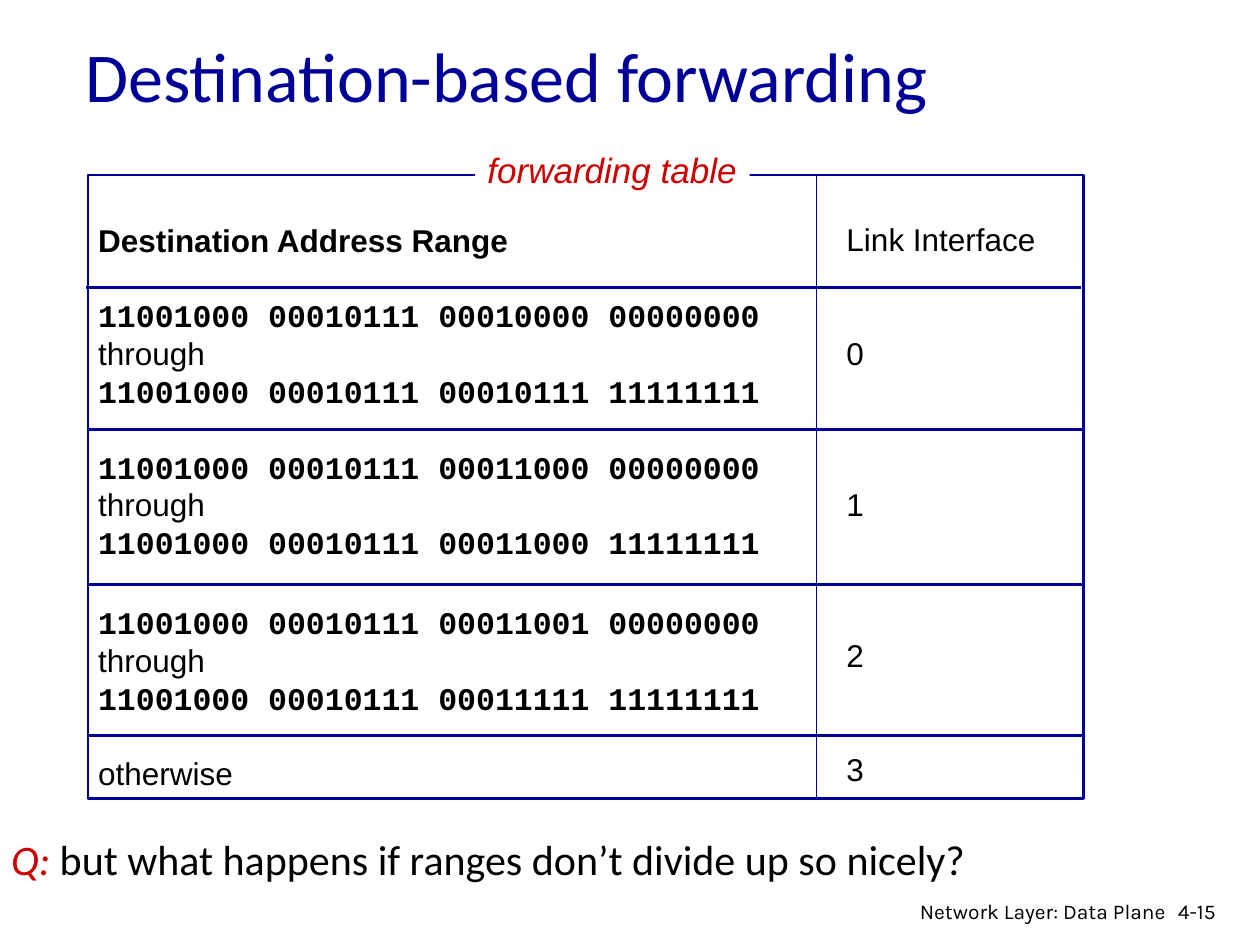
from pptx import Presentation
from pptx.dml.color import RGBColor
from pptx.enum.shapes import MSO_CONNECTOR, MSO_SHAPE
from pptx.enum.text import MSO_ANCHOR, PP_ALIGN
from pptx.oxml.ns import qn
from pptx.util import Inches, Pt
from lxml.etree import SubElement

NAVY = RGBColor(0x00, 0x00, 0x99)
RED = RGBColor(0xCC, 0x00, 0x00)
BLACK = RGBColor(0x00, 0x00, 0x00)
WHITE = RGBColor(0xFF, 0xFF, 0xFF)
LINE_PITCH = 21.6


def add_frame(left, top, width, height, anchor=MSO_ANCHOR.TOP):
    frame = slide.shapes.add_textbox(Inches(left), Inches(top), Inches(width), Inches(height)).text_frame
    frame.word_wrap = True
    frame.vertical_anchor = anchor
    return frame


def write(paragraph, text, font="Arial", size=18, color=BLACK, bold=False, italic=False,
          align=PP_ALIGN.LEFT, pitch=None, before=0):
    paragraph.alignment = align
    paragraph.space_before = Pt(before)
    if pitch:
        paragraph.line_spacing = Pt(pitch)
    run = paragraph.add_run()
    run.text = text
    run.font.name = font
    run.font.size = Pt(size)
    run.font.color.rgb = color
    run.font.bold = bold
    run.font.italic = italic


presentation = Presentation()
presentation.slide_width = Inches(10)
presentation.slide_height = Inches(7.5)
slide = presentation.slides.add_slide(presentation.slide_layouts[6])

ranges = add_frame(0.68, 1.7, 5.75, 4.64, MSO_ANCHOR.MIDDLE)
write(ranges.paragraphs[0], "Destination Address Range", bold=True, align=PP_ALIGN.JUSTIFY, pitch=LINE_PITCH)
address_ranges = [
    ("11001000 00010111 00010000 00000000", "11001000 00010111 00010111 11111111", LINE_PITCH),
    ("11001000 00010111 00011000 00000000", "11001000 00010111 00011000 11111111", LINE_PITCH),
    ("11001000 00010111 00011001 00000000", "11001000 00010111 00011111 11111111", 24),
]
for first, last, gap in address_ranges:
    write(ranges.add_paragraph(), first, font="Courier New", bold=True,
          align=PP_ALIGN.JUSTIFY, pitch=LINE_PITCH, before=gap)
    write(ranges.add_paragraph(), "through", align=PP_ALIGN.JUSTIFY, pitch=LINE_PITCH)
    write(ranges.add_paragraph(), last, font="Courier New", bold=True,
          align=PP_ALIGN.JUSTIFY, pitch=LINE_PITCH)
write(ranges.add_paragraph(), "otherwise", align=PP_ALIGN.JUSTIFY, pitch=LINE_PITCH, before=LINE_PITCH)

interfaces = add_frame(6.62, 1.7, 1.8, 4.6, MSO_ANCHOR.MIDDLE)
write(interfaces.paragraphs[0], "Link Interface", align=PP_ALIGN.JUSTIFY, pitch=LINE_PITCH)
for interface, skipped_lines in [("0", 2), ("1", 3), ("2", 3), ("3", 2)]:
    write(interfaces.add_paragraph(), interface, align=PP_ALIGN.JUSTIFY, pitch=LINE_PITCH,
          before=skipped_lines * LINE_PITCH)

border = slide.shapes.add_shape(MSO_SHAPE.RECTANGLE, Inches(0.7), Inches(1.39), Inches(7.9), Inches(4.95))
border.shadow.inherit = False
border.fill.background()
border.line.color.rgb = NAVY
border.line.width = Pt(1.5)

rules = [
    (0.68, 2.28, 8.58, 2.28, 1.5),
    (0.71, 3.41, 8.61, 3.41, 1.5),
    (0.71, 4.64, 8.61, 4.64, 1.5),
    (0.7, 5.84, 8.6, 5.84, 1.5),
    (6.48, 1.4, 6.48, 6.34, 1),
]
for x1, y1, x2, y2, weight in rules:
    rule = slide.shapes.add_connector(MSO_CONNECTOR.STRAIGHT, Inches(x1), Inches(y1), Inches(x2), Inches(y2))
    rule.line.color.rgb = NAVY
    rule.line.width = Pt(weight)
    SubElement(rule._element.spPr, qn("a:effectLst"))

question = add_frame(-0.01, 6.57, 9, 0.5).paragraphs[0]
write(question, "Q:", font="Calibri", size=24, color=RED, italic=True)
write(question, " but what happens if ranges don’t divide up so nicely?", font="Calibri", size=24)

title = add_frame(0.58, 0.12, 6.98, 0.94, MSO_ANCHOR.MIDDLE)
write(title.paragraphs[0], "Destination-based forwarding", font="Calibri", size=40, color=NAVY)

caption = slide.shapes.add_shape(MSO_SHAPE.RECTANGLE, Inches(3.77), Inches(1.13), Inches(2.18), Inches(0.44))
caption.shadow.inherit = False
caption.fill.solid()
caption.fill.fore_color.rgb = WHITE
caption.line.fill.background()
caption.text_frame.word_wrap = True
caption.text_frame.margin_right = 0
caption.text_frame.vertical_anchor = MSO_ANCHOR.TOP
write(caption.text_frame.paragraphs[0], "forwarding table", size=20, color=RED, italic=True)

page_number = add_frame(9.25, 7.08, 0.61, 0.3)
write(page_number.paragraphs[0], "4-15", font="Karla", size=12)
chapter = add_frame(6.97, 7.08, 2.38, 0.26)
write(chapter.paragraphs[0], "Network Layer: Data Plane", font="Karla", size=12, align=PP_ALIGN.RIGHT)

presentation.save("out.pptx")
